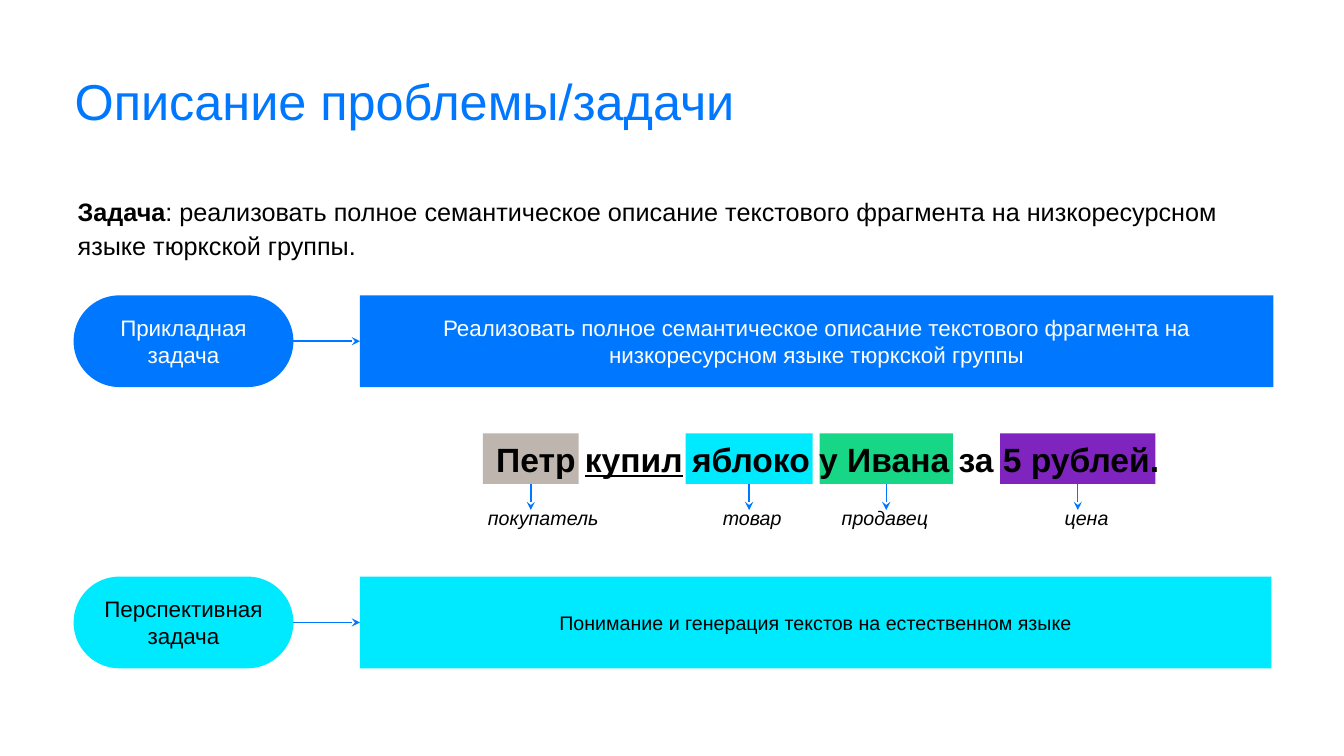
"""Build the slide that describes the applied and the long-term task."""
from pptx import Presentation, util as u
from pptx.dml.color import RGBColor
from pptx.enum import shapes, text
from pptx.oxml.ns import qn
from lxml import etree

HUES = {"blue": "0077FF", "cyan": "00EAFF", "green": "17D685", "plum": "8024C0",
        "sand": "BEB6AE", "black": "000000", "white": "FFFFFF"}
KIND = shapes.MSO_SHAPE
MID = text.MSO_ANCHOR.MIDDLE
TOP = text.MSO_ANCHOR.TOP
CENTER = text.PP_ALIGN.CENTER
LEFT = text.PP_ALIGN.LEFT


def write(shape, runs, size, hue, align=LEFT, anchor=TOP, pad=(0.1, 0.05), line=None):
    """Fill a shape with one paragraph of (words, format) runs."""
    frame = shape.text_frame
    frame.word_wrap = True
    frame.vertical_anchor = anchor
    frame.margin_left = frame.margin_right = u.Inches(pad[0])
    frame.margin_top = frame.margin_bottom = u.Inches(pad[1])
    para = frame.paragraphs[0]
    para.alignment = align
    if line:
        para.line_spacing = line
    for words, form in runs:
        run = para.add_run()
        run.text = words
        run.font.color.rgb = RGBColor.from_string(HUES[hue])
        for key, val in {"name": "Arial", "size": u.Pt(size), **form}.items():
            setattr(run.font, key, val)
    return para


def block(kind, box, hue):
    """Add a plain filled shape."""
    shape = slide.shapes.add_shape(kind, *map(u.Inches, box))
    shape.shadow.inherit = False
    shape.fill.solid()
    shape.fill.fore_color.rgb = RGBColor.from_string(HUES[hue])
    shape.line.fill.background()
    return shape


deck = Presentation()
deck.slide_width, deck.slide_height = u.Inches(13.33), u.Inches(7.5)
slide = deck.slides.add_slide(deck.slide_layouts[5])

title = slide.shapes.title
title.left, title.top, title.width, title.height = map(u.Inches, (0.74, 0.76, 11.87, 0.7))
write(title, [("Описание проблемы/задачи", {})], 36, "blue", pad=(0, 0), line=0.9)

goal = slide.shapes.add_textbox(*map(u.Inches, (0.73, 1.88, 11.89, 0.72)))
write(goal, [("Задача", {"bold": True}),
             (": реализовать полное семантическое описание текстового фрагмента "
              "на низкоресурсном языке тюркской группы.", {})],
      18, "black", pad=(0.04, 0.04), line=1.1)

arrows = []
tasks = [
    (2.93, 9.06, "blue", "white", 16, "Прикладная задача",
     "Реализовать полное семантическое описание текстового фрагмента "
     "на низкоресурсном языке тюркской группы"),
    (5.72, 9.04, "cyan", "black", 14, "Перспективная задача",
     "Понимание и генерация текстов на естественном языке"),
]
for top, wide, hue, ink, size, name, about in tasks:
    pill = block(KIND.ROUNDED_RECTANGLE, (0.73, top, 2.18, 0.91), hue)
    pill.adjustments[0] = 0.5
    write(pill, [(name, {})], 16, ink, CENTER, MID)
    panel = block(KIND.RECTANGLE, (3.57, top, wide, 0.91), hue)
    write(panel, [(about, {})], size, ink, CENTER, MID)
    arrow = slide.shapes.add_connector(shapes.MSO_CONNECTOR.STRAIGHT, 0, 0, 0, 0)
    arrow.begin_connect(pill, 3)
    arrow.end_connect(panel, 1)
    arrows.append(arrow)

marks = [(4.79, 0.95, "sand"), (6.8, 1.26, "cyan"), (8.13, 1.32, "green"), (9.92, 1.54, "plum")]
for left, wide, hue in marks:
    mark = block(KIND.RECTANGLE, (left, 4.3, wide, 0.5), hue)
    mid = u.Inches(left + wide / 2)
    arrow = slide.shapes.add_connector(
        shapes.MSO_CONNECTOR.STRAIGHT, mid, u.Inches(4.8), mid, u.Inches(5.06))
    arrow.begin_connect(mark, 2)
    arrows.append(arrow)

for arrow in arrows:
    arrow.line.color.rgb = RGBColor.from_string(HUES["blue"])
    arrow.line.width = u.Pt(1)
    etree.SubElement(arrow.line._get_or_add_ln(), qn("a:tailEnd"), type="stealth")
    etree.SubElement(arrow._element.spPr, qn("a:effectLst"))

roles = slide.shapes.add_textbox(*map(u.Inches, (4.74, 4.97, 6.52, 0.34)))
para = write(roles, [("покупатель\tтовар\tпродавец\tцена", {"italic": True})], 14, "black")
tabs = etree.SubElement(para._p.get_or_add_pPr(), qn("a:tabLst"))
for stop in (2.33, 3.51, 5.72):
    etree.SubElement(tabs, qn("a:tab"), pos=str(u.Inches(stop)), algn="l")

phrase = slide.shapes.add_textbox(*map(u.Inches, (3.98, 4.25, 8.46, 0.61)))
write(phrase, [("Петр ", {"bold": True}),
               ("купил", {"bold": True, "underline": True}),
               (" яблоко у Ивана за 5 рублей.", {"bold": True})],
      24, "black", CENTER, pad=(0.1, 0.1))

deck.save("out.pptx")
